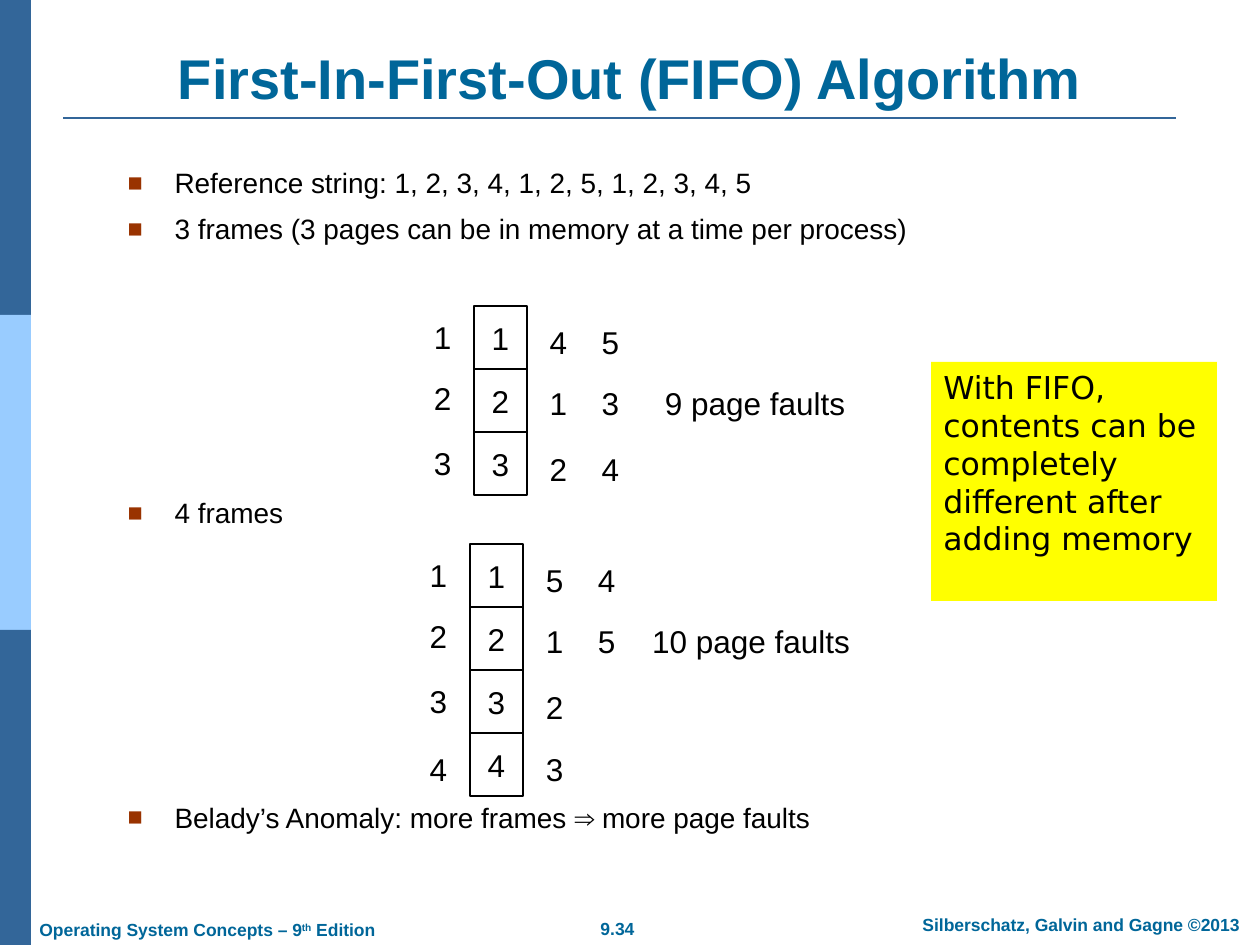
from lxml.etree import SubElement
from pptx import Presentation
from pptx.dml.color import RGBColor
from pptx.enum.shapes import MSO_CONNECTOR, MSO_SHAPE
from pptx.enum.text import MSO_ANCHOR, MSO_AUTO_SIZE, PP_ALIGN
from pptx.oxml.ns import qn
from pptx.util import Emu, Pt

PX = 914400 / 126
WIDTH, HEIGHT = 1260, 945

NAVY = RGBColor(0x33, 0x66, 0x99)
SKY = RGBColor(0x99, 0xCC, 0xFF)
TEAL = RGBColor(0x00, 0x66, 0x99)
RUST = RGBColor(0x99, 0x33, 0x00)
YELLOW = RGBColor(0xFF, 0xFF, 0x00)
WHITE = RGBColor(0xFF, 0xFF, 0xFF)
BLACK = RGBColor(0, 0, 0)

CELL_WIDTH, CELL_HEIGHT = 53, 63
DIGIT_WIDTH, DIGIT_HEIGHT = 43, 50
FAULTS_WIDTH = 230
# Vertical offset of each row's digit inside its row
FIRST_SHIFTS = (6, 4, 6, 11)
LATER_SHIFTS = (11, 9, 12, 11)


def px(length):
    return Emu(round(length * PX))


def write(paragraph, text, size=18, font="Arial", color=BLACK, bold=False,
          align=PP_ALIGN.LEFT, before=0, superscript=False):
    """Add one formatted run to a paragraph."""
    paragraph.alignment = align
    paragraph.space_before = Pt(before)
    run = paragraph.add_run()
    run.text = text
    run.font.size = Pt(size)
    run.font.name = font
    run.font.bold = bold
    run.font.color.rgb = color
    if superscript:
        run.font._element.set("baseline", "30000")


def add_text(slide, box, text, anchor=MSO_ANCHOR.MIDDLE, **text_format):
    shape = slide.shapes.add_textbox(*map(px, box))
    shape.text_frame.word_wrap = True
    shape.text_frame.vertical_anchor = anchor
    paragraph = shape.text_frame.paragraphs[0]
    write(paragraph, text, **text_format)
    return paragraph


def add_rectangle(slide, box, fill, line=None):
    shape = slide.shapes.add_shape(MSO_SHAPE.RECTANGLE, *map(px, box))
    shape.shadow.inherit = False
    shape.fill.solid()
    shape.fill.fore_color.rgb = fill
    if line is None:
        shape.line.fill.background()
    else:
        shape.line.color.rgb = line
        shape.line.width = Pt(0.75)
    return shape


def add_bullet(paragraph):
    properties = paragraph._p.get_or_add_pPr()
    properties.set("marL", str(px(47)))
    properties.set("indent", str(-px(47)))
    color = SubElement(properties, qn("a:buClr"))
    SubElement(color, qn("a:srgbClr"), val=str(RUST))
    SubElement(properties, qn("a:buSzPct"), val="90000")
    SubElement(properties, qn("a:buFont"), typeface="Arial")
    SubElement(properties, qn("a:buChar"), char="■")


def place(shape, box):
    shape.left, shape.top, shape.width, shape.height = map(px, box)
    shape.text_frame.auto_size = MSO_AUTO_SIZE.NONE
    return shape.text_frame


def add_side_bar(slide, left, top, width, height):
    band = height / 3
    for index, color in enumerate((NAVY, SKY, NAVY)):
        add_rectangle(slide, (left, top + index * band, width, band), color)


def add_title(slide, left, top, width, height):
    frame = place(slide.shapes.title, (left, top, width, height))
    frame.vertical_anchor = MSO_ANCHOR.BOTTOM
    write(frame.paragraphs[0], "First-In-First-Out (FIFO) Algorithm", size=32,
          color=TEAL, bold=True, align=PP_ALIGN.CENTER)
    rule_y = px(top + height + 1)
    rule = slide.shapes.add_connector(MSO_CONNECTOR.STRAIGHT, px(left), rule_y,
                                      px(left + width - 21), rule_y)
    rule.line.color.rgb = NAVY
    rule.line.width = Pt(1.5)
    SubElement(rule._element.spPr, qn("a:effectLst"))


def add_body(slide, box):
    frame = place(slide.placeholders[1], box)
    frame.margin_top = px(7)
    frame.vertical_anchor = MSO_ANCHOR.TOP
    # Space before each item leaves room for the frame diagrams
    items = (
        ("Reference string: 1, 2, 3, 4, 1, 2, 5, 1, 2, 3, 4, 5", 0),
        ("3 frames (3 pages can be in memory at a time per process)", 7),
        ("4 frames", 143),
        ("Belady’s Anomaly: more frames ⇒ more page faults", 155),
    )
    for index, (text, before) in enumerate(items):
        paragraph = frame.add_paragraph() if index else frame.paragraphs[0]
        add_bullet(paragraph)
        write(paragraph, text, size=16, before=before)


def add_frames(slide, left, top, rows, faults):
    """Draw page frames: each row holds its first page, then its replacements."""
    centered = {"align": PP_ALIGN.CENTER}
    for index, (page, *replacements) in enumerate(rows):
        row_top = top + index * CELL_HEIGHT
        cell = add_rectangle(slide, (left, row_top, CELL_WIDTH, CELL_HEIGHT),
                             WHITE, BLACK)
        cell.text_frame.word_wrap = False
        cell.text_frame.vertical_anchor = MSO_ANCHOR.MIDDLE
        write(cell.text_frame.paragraphs[0], page, **centered)

        digits = [(page, -53, FIRST_SHIFTS[index])]
        digits += [(digit, 63 + column * 52, LATER_SHIFTS[index])
                   for column, digit in enumerate(replacements)]
        for digit, x, y in digits:
            add_text(slide, (left + x, row_top + y, DIGIT_WIDTH, DIGIT_HEIGHT),
                     digit, **centered)
    faults_box = (left + 281 - FAULTS_WIDTH / 2, top + CELL_HEIGHT + LATER_SHIFTS[1],
                  FAULTS_WIDTH, DIGIT_HEIGHT)
    add_text(slide, faults_box, faults, **centered)


def add_note(slide, box):
    note = add_rectangle(slide, box, YELLOW)
    note.text_frame.word_wrap = True
    note.text_frame.vertical_anchor = MSO_ANCHOR.TOP
    write(note.text_frame.paragraphs[0],
          "With FIFO, contents can be completely different after adding memory",
          font="DejaVu Sans")


def add_footer(slide, top, height):
    style = {"size": 10, "color": TEAL, "bold": True}
    centered = {"anchor": MSO_ANCHOR.TOP, "align": PP_ALIGN.CENTER, **style}
    add_text(slide, (556, top + 4, 123, height), "9.34", **centered)
    add_text(slide, (894, top, 374, height), "Silberschatz, Galvin and Gagne ©2013",
             **centered)
    edition = add_text(slide, (27, top + 5, 400, height),
                       "Operating System Concepts – 9", anchor=MSO_ANCHOR.TOP, **style)
    write(edition, "th", superscript=True, **style)
    write(edition, " Edition", **style)


def main():
    presentation = Presentation()
    presentation.slide_width, presentation.slide_height = px(WIDTH), px(HEIGHT)
    slide = presentation.slides.add_slide(presentation.slide_layouts[1])
    add_side_bar(slide, 0, 0, 31, HEIGHT)
    add_title(slide, 63, 38, 1134, 79)
    add_body(slide, (115, 159, 969, 794))
    add_frames(slide, 474, 306, ("145", "213", "324"), "9 page faults")
    add_frames(slide, 470, 544, ("154", "215", "32", "43"), "10 page faults")
    add_note(slide, (931, 362, 286, 239))
    add_footer(slide, 908, 34)
    presentation.save("out.pptx")


if __name__ == "__main__":
    main()
